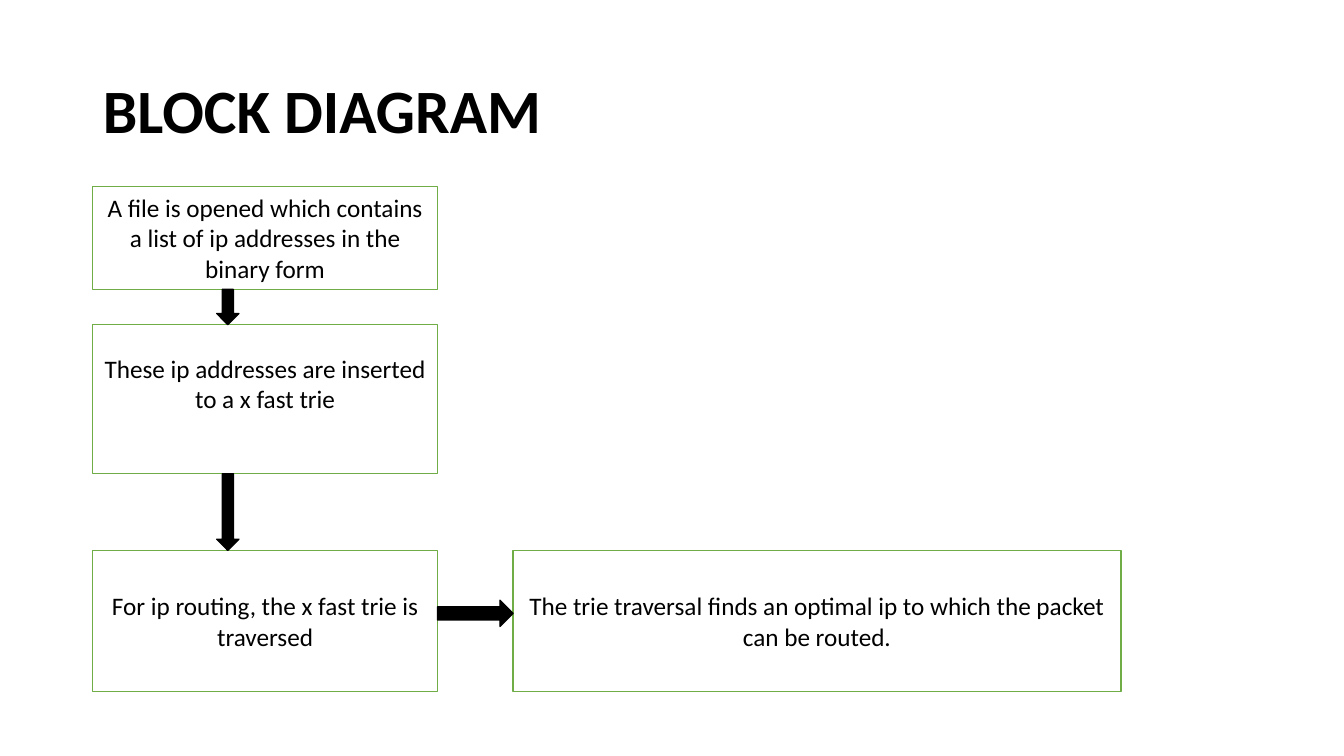
from dataclasses import dataclass

from pptx import Presentation
from pptx.dml.color import RGBColor
from pptx.enum.shapes import MSO_SHAPE as Shape
from pptx.enum.text import MSO_ANCHOR as Anchor, MSO_AUTO_SIZE as AutoSize, PP_ALIGN as Align
from pptx.util import Pt

BLACK, WHITE, GREEN = "000000", "FFFFFF", "70AD47"
LEFT, STEP_W = 66.24, 246.24
ROUTING_TOP, ROUTING_H = 393.12, 100.8
DOWN_X, DOWN_W, RIGHT_H = 154.8, 15.84, 18.72


@dataclass
class Box:
    text: str
    left: float
    top: float
    width: float
    height: float
    bottom_inset: float = 3.6

    @property
    def right(self) -> float:
        return self.left + self.width

    @property
    def bottom(self) -> float:
        return self.top + self.height


def rgb(color: str) -> RGBColor:
    return RGBColor.from_string(color)


def write(tf, text: str, align, **font) -> None:
    """Put one formatted paragraph into a text frame."""
    p = tf.paragraphs[0]
    p.alignment = align
    r = p.add_run()
    r.text = text
    r.font.color.rgb = rgb(BLACK)
    for name, value in {"name": "Calibri", **font}.items():
        setattr(r.font, name, value)


def draw_shape(kind, left: float, top: float, width: float, height: float,
               fill: str, line: str):
    s = slide.shapes.add_shape(kind, Pt(left), Pt(top), Pt(width), Pt(height))
    s.shadow.inherit = False
    s.fill.solid()
    s.fill.fore_color.rgb = rgb(fill)
    s.line.color.rgb = rgb(line)
    s.line.width = Pt(1)
    return s


def draw_box(box: Box) -> None:
    s = draw_shape(Shape.RECTANGLE, box.left, box.top, box.width, box.height, WHITE, GREEN)
    tf = s.text_frame
    settings = {"word_wrap": True, "vertical_anchor": Anchor.MIDDLE,
                "margin_bottom": Pt(box.bottom_inset)}
    for name, value in settings.items():
        setattr(tf, name, value)
    write(tf, box.text, Align.CENTER, size=Pt(18))


def draw_down_arrow(upper: Box, lower: Box) -> None:
    draw_shape(Shape.DOWN_ARROW, DOWN_X, upper.bottom, DOWN_W,
               lower.top - upper.bottom, BLACK, BLACK)


def draw_right_arrow(start: Box, end: Box) -> None:
    top = start.top + (start.height - RIGHT_H) / 2 - 5.4
    draw_shape(Shape.RIGHT_ARROW, start.right, top, end.left - start.right,
               RIGHT_H, BLACK, BLACK)


prs = Presentation()
prs.slide_width, prs.slide_height = Pt(960), Pt(540)
slide = prs.slides.add_slide(prs.slide_layouts[5])

# Title
title = slide.shapes.title
for name, value in {"left": LEFT, "top": 28.8, "width": 828, "height": 104.4}.items():
    setattr(title, name, Pt(value))
tf = title.text_frame
for name, value in {"word_wrap": True, "auto_size": AutoSize.NONE,
                    "vertical_anchor": Anchor.MIDDLE}.items():
    setattr(tf, name, value)
write(tf, "BLOCK DIAGRAM", Align.LEFT, size=Pt(44), bold=True)
tf.paragraphs[0].line_spacing = 0.9

# Process boxes; the insert step's text sits one line above centre
open_file = Box("A file is opened which contains a list of ip addresses in the binary form",
                LEFT, 133.2, STEP_W, 73.44)
insert = Box("These ip addresses are inserted to a x fast trie",
             LEFT, 231.84, STEP_W, 106.56, bottom_inset=25.6)
traverse = Box("For ip routing, the x fast trie is traversed",
               LEFT, ROUTING_TOP, STEP_W, ROUTING_H)
result = Box("The trie traversal finds an optimal ip to which the packet can be routed.",
             366.48, ROUTING_TOP, 434.16, ROUTING_H)
for box in (open_file, insert, traverse, result):
    draw_box(box)

# Flow arrows
draw_right_arrow(traverse, result)
draw_down_arrow(insert, traverse)
draw_down_arrow(open_file, insert)

prs.save("out.pptx")
